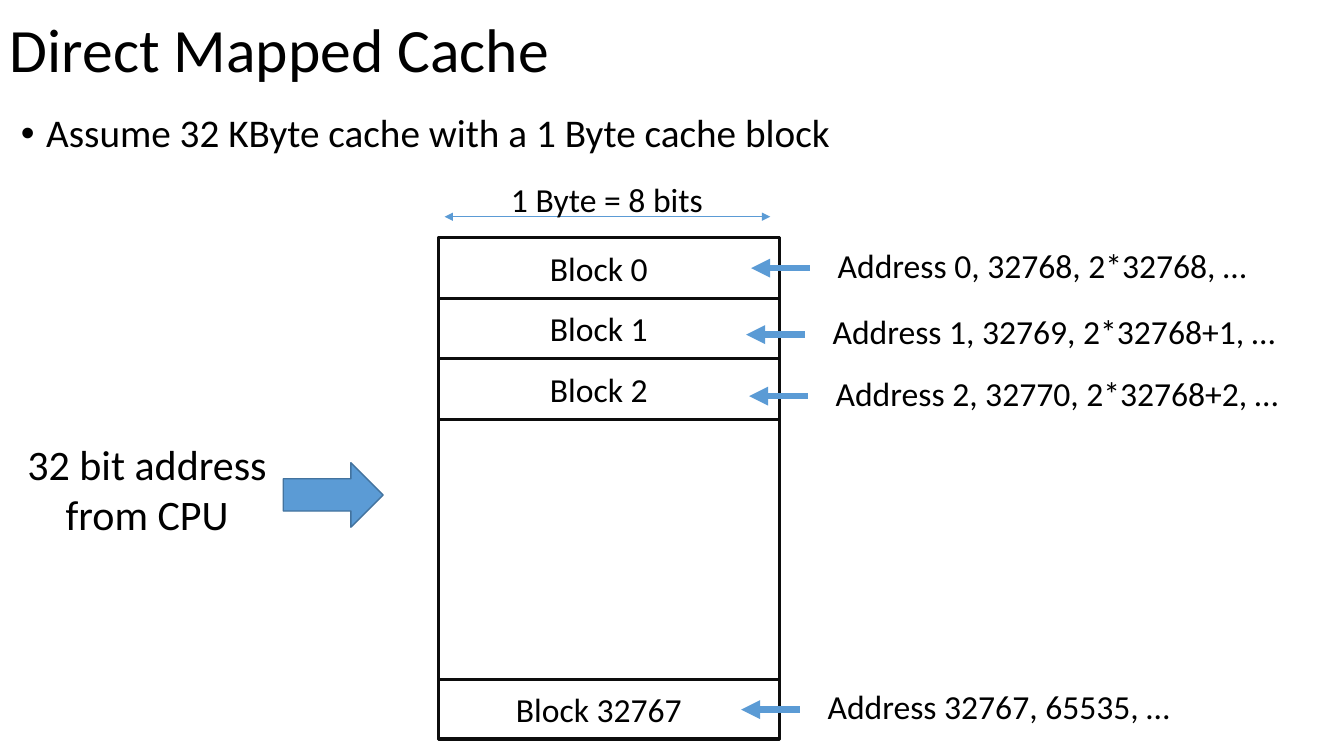
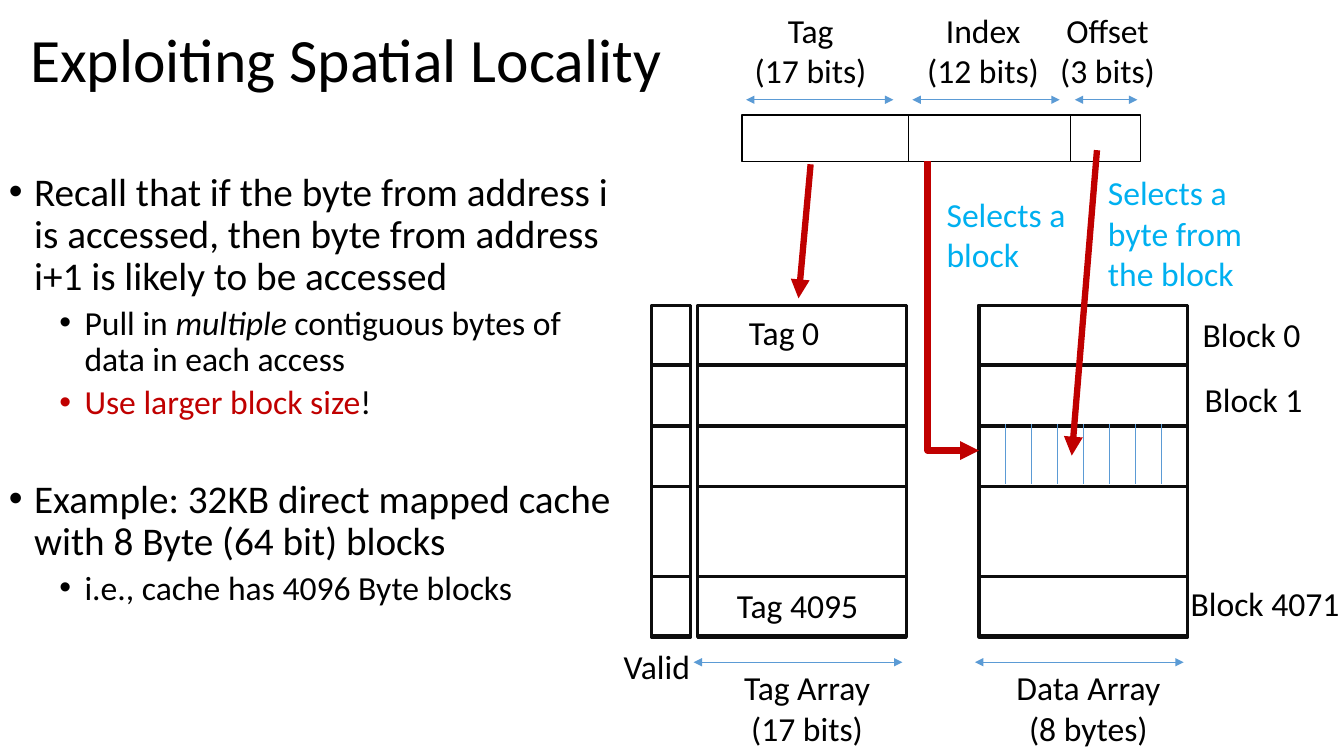
from lxml.etree import SubElement
from pptx import Presentation
from pptx.dml.color import RGBColor
from pptx.enum.shapes import MSO_CONNECTOR, MSO_SHAPE
from pptx.enum.text import MSO_ANCHOR, PP_ALIGN
from pptx.oxml.ns import qn
from pptx.util import Inches, Pt

FONT = "Calibri"
BLACK = RGBColor(0x00, 0x00, 0x00)
OUTLINE = RGBColor(0x0D, 0x0D, 0x0D)
BLUE = RGBColor(0x5B, 0x9B, 0xD5)
DARK_BLUE = RGBColor(0x43, 0x73, 0x9E)
SKY = RGBColor(0x00, 0xB0, 0xF0)
RED = RGBColor(0xC0, 0x00, 0x00)

ROW_HEIGHT = 0.6
LABEL_HEIGHT = 0.5
PAIR_HEIGHT = 0.91


# Shared parts
def style_font(font, size, color=BLACK):
    font.name = FONT
    font.size = Pt(size)
    font.color.rgb = color


def add_label(slide, text, left, top, width, height=LABEL_HEIGHT, size=24,
              color=BLACK, centered=False, wrap=False):
    """Text box with one paragraph for each line of text."""
    shape = slide.shapes.add_textbox(Inches(left), Inches(top), Inches(width), Inches(height))
    frame = shape.text_frame
    frame.word_wrap = wrap
    frame.text = text
    for paragraph in frame.paragraphs:
        style_font(paragraph.font, size, color)
        paragraph.alignment = PP_ALIGN.CENTER if centered else PP_ALIGN.LEFT
    return shape


def add_title(slide, text, left, top):
    shape = add_label(slide, text, left, top, 11.5, 1.45, size=44, wrap=True)
    shape.text_frame.vertical_anchor = MSO_ANCHOR.MIDDLE
    shape.text_frame.paragraphs[0].line_spacing = 0.9


def add_bullets(slide, items, left, top, width, height):
    """Items are (level, space before, runs); a run is (text, color, italic)."""
    shape = slide.shapes.add_textbox(Inches(left), Inches(top), Inches(width), Inches(height))
    frame = shape.text_frame
    frame.word_wrap = True
    for index, (level, space_before, runs) in enumerate(items):
        paragraph = frame.paragraphs[0] if index == 0 else frame.add_paragraph()
        paragraph.level = level
        paragraph.line_spacing = 0.9
        paragraph.space_before = Pt(space_before)
        style_font(paragraph.font, 24 if level else 28)
        properties = paragraph._p.get_or_add_pPr()
        properties.set("marL", str(Inches(0.25 + 0.5 * level)))
        properties.set("indent", str(Inches(-0.25)))
        bullet_font = SubElement(properties, qn("a:buFont"), typeface="Arial")
        SubElement(properties, qn("a:buChar"), char="•")
        # The paragraph's default font goes after its bullet
        properties.append(properties.find(qn("a:defRPr")))
        bullet_font.set("pitchFamily", "34")
        for text, color, italic in runs:
            run = paragraph.add_run()
            run.text = text
            run.font.color.rgb = color
            run.font.italic = italic


def add_box(slide, left, top, width, height, line_width=2.25, color=OUTLINE):
    shape = slide.shapes.add_shape(
        MSO_SHAPE.RECTANGLE, Inches(left), Inches(top), Inches(width), Inches(height))
    shape.shadow.inherit = False
    shape.fill.background()
    shape.line.color.rgb = color
    shape.line.width = Pt(line_width)
    return shape


def add_line(slide, start, end, color=BLUE, width=0.5, ends=(),
             kind=MSO_CONNECTOR.STRAIGHT):
    """Connector; ends lists the arrowheads, headEnd and tailEnd."""
    connector = slide.shapes.add_connector(
        kind, *(Inches(length) for length in (*start, *end)))
    connector.line.color.rgb = color
    connector.line.width = Pt(width)
    for end_name in ends:
        SubElement(connector.line._get_or_add_ln(), qn("a:" + end_name), type="triangle")
    SubElement(connector._element.spPr, qn("a:effectLst"))
    return connector


def add_span(slide, left, y, width):
    """Thin double arrow that measures a width."""
    add_line(slide, (left, y), (left + width, y), ends=("headEnd", "tailEnd"))


def add_arrow(slide, start, end, color):
    add_line(slide, start, end, color, 4.5, ("tailEnd",))


def add_array(slide, left, top, width, height, row_tops):
    """Memory array: a frame with the rows that are shown."""
    add_box(slide, left, top, width, height)
    for row_top in row_tops:
        add_box(slide, left, top + row_top, width, ROW_HEIGHT)


# Direct mapped cache
def draw_cpu_address(slide, left, top):
    shape = slide.shapes.add_shape(
        MSO_SHAPE.RIGHT_ARROW, Inches(left + 2.65), Inches(top + 0.29), Inches(0.99), Inches(0.64))
    shape.shadow.inherit = False
    shape.fill.solid()
    shape.fill.fore_color.rgb = BLUE
    shape.line.color.rgb = DARK_BLUE
    shape.line.width = Pt(1)
    add_label(slide, "32 bit address\nfrom CPU", left, top, 2.6, 1.11, size=30, centered=True)


def draw_cache(slide, left, top, width, height):
    rows = [("Block 0", 0), ("Block 1", 0.6), ("Block 2", 1.2), ("Block 32767", 4.38)]
    add_array(slide, left, top, width, height, [row_top for _, row_top in rows])
    for text, row_top in rows:
        add_label(slide, text, left, top + row_top + 0.05, width - 0.2, centered=True)
    add_span(slide, left + 0.06, top - 0.21, width - 0.15)
    add_label(slide, "1 Byte = 8 bits", left, top - 0.63, width - 0.04, centered=True)


def draw_addresses(slide, left, top):
    addresses = [
        ("Address 0, 32768, 2*32768, …", 0.1, 0, 4.31),
        ("Address 1, 32769, 2*32768+1, …", 0.05, 0.66, 4.63),
        ("Address 2, 32770, 2*32768+2, …", 0.08, 1.27, 4.63),
        ("Address 32767, 65535, …", 0, 4.38, 3.62),
    ]
    for text, shift, row_top, width in addresses:
        text_left, text_top = left + shift, top + row_top
        add_label(slide, text, text_left, text_top, width)
        y = text_top + 0.28
        add_arrow(slide, (text_left - 0.18, y), (text_left - 0.76, y), BLUE)


def build_direct_mapped(slide):
    add_title(slide, "Direct Mapped Cache", 0, -0.2)
    add_bullets(slide, [
        (0, 10, [("Assume 32 KByte cache with a 1 Byte cache block", BLACK, False)]),
    ], 0.11, 1.08, 11.75, 6.12)
    draw_cpu_address(slide, 0.16, 4.3)
    draw_cache(slide, 4.35, 2.36, 3.38, 4.97)
    draw_addresses(slide, 8.11, 2.38)


# Spatial locality
ARRAY_ROWS = (0, 0.59, 1.2, 2.69)


def draw_address_fields(slide, left, top, height):
    # text, cell width, span width, label shift, label width
    fields = [
        ("Tag\n(17 bits)", 1.65, 1.46, 0.02, 1.32),
        ("Index\n(12 bits)", 1.61, 1.46, 0.08, 1.32),
        ("Offset\n(3 bits)", 0.69, 0.62, -0.21, 1.15),
    ]
    for text, width, span, shift, label_width in fields:
        add_box(slide, left, top, width, height, 1, BLACK)
        add_span(slide, left + 0.04, top - 0.15, span)
        add_label(slide, text, left + shift, top - 1.09, label_width, PAIR_HEIGHT, centered=True)
        left += width


def draw_valid_array(slide, left, top, width, height):
    add_array(slide, left, top, width, height, ARRAY_ROWS)
    add_label(slide, "Valid", left - 0.38, top + height + 0.05, 0.87, centered=True)


def draw_wide_array(slide, left, top, width, height, caption):
    add_array(slide, left, top, width, height, ARRAY_ROWS)
    bottom = top + height + 0.26
    add_span(slide, left - 0.04, bottom, width)
    add_label(slide, caption, left + 0.05, bottom, width, PAIR_HEIGHT, centered=True)


def draw_tag_array(slide, left, top, width, height):
    draw_wide_array(slide, left, top, width, height, "Tag Array\n(17 bits)")
    add_label(slide, "Tag 0", left + 0.41, top + 0.02, 1.3, wrap=True)
    add_label(slide, "Tag 4095", left + 0.29, top + 2.72, 1.55, wrap=True)


def draw_data_array(slide, left, top, width, height):
    draw_wide_array(slide, left, top, width, height, "Data Array\n(8 bytes)")
    right = left + width
    for text, shift, row_top, label_width in [
        ("Block 0", 0.05, 0.04, 1.3),
        ("Block 1", 0.07, 0.68, 1.3),
        ("Block 4071", -0.07, 2.7, 1.69),
    ]:
        add_label(slide, text, right + shift, top + row_top, label_width, wrap=True)
    # Byte borders within the selected block
    for byte in range(1, 8):
        x = left + byte * width / 8
        add_line(slide, (x, top + 1.18), (x, top + 1.77))


def draw_selection(slide, left, top):
    """Arrows from the address fields to the arrays, with their notes."""
    add_arrow(slide, (left + 0.68, top + 0.03), (left + 0.56, top + 1.36), RED)
    add_arrow(slide, (left + 3.52, top - 0.11), (left + 3.27, top + 2.92), RED)
    add_label(slide, "Selects a byte from the block", left + 3.53, top + 0.06, 1.77, 1.31,
              color=SKY, wrap=True)
    add_label(slide, "Selects a block", left + 1.93, top + 0.27, 1.77, PAIR_HEIGHT,
              color=SKY, wrap=True)
    # One bend: down from the index, then right to the block, as a turned elbow
    down, across = 2.87, 0.51
    center_x, center_y = left + 1.84 + across / 2, top + down / 2
    elbow = add_line(
        slide, (center_x + down / 2, center_y - across / 2),
        (center_x - down / 2, center_y + across / 2),
        RED, 4.5, ("tailEnd",), MSO_CONNECTOR.ELBOW)
    properties = elbow._element.spPr
    properties.find(qn("a:xfrm")).set("rot", str(270 * 60000))
    properties.find(qn("a:prstGeom")).set("prst", "bentConnector2")


def build_spatial_locality(slide):
    add_title(slide, "Exploiting Spatial Locality", 0.2, -0.1)
    add_bullets(slide, [
        (0, 10, [("Recall that if the byte from address i is accessed, then byte from "
                  "address i+1 is likely to be accessed", BLACK, False)]),
        (1, 5, [("Pull in ", BLACK, False), ("multiple ", BLACK, True),
                ("contiguous bytes of data in each access", BLACK, False)]),
        (1, 5, [("Use larger block size", RED, False), ("!", BLACK, False)]),
        (0, 41, [("Example: 32KB direct mapped cache with 8 Byte (64 bit) blocks",
                  BLACK, False)]),
        (1, 5, [("i.e., cache has 4096 Byte blocks", BLACK, False)]),
    ], -0.01, 1.66, 6.34, 4.76)
    draw_address_fields(slide, 7.36, 1.14, 0.46)
    draw_valid_array(slide, 6.46, 3.03, 0.39, 3.28)
    draw_tag_array(slide, 6.92, 3.03, 2.07, 3.28)
    draw_data_array(slide, 9.71, 3.03, 2.07, 3.28)
    draw_selection(slide, 7.36, 1.6)


def main():
    presentation = Presentation()
    presentation.slide_width = Inches(13.33)
    presentation.slide_height = Inches(7.5)
    for build in (build_direct_mapped, build_spatial_locality):
        build(presentation.slides.add_slide(presentation.slide_layouts[6]))
    presentation.save("out.pptx")


if __name__ == "__main__":
    main()
